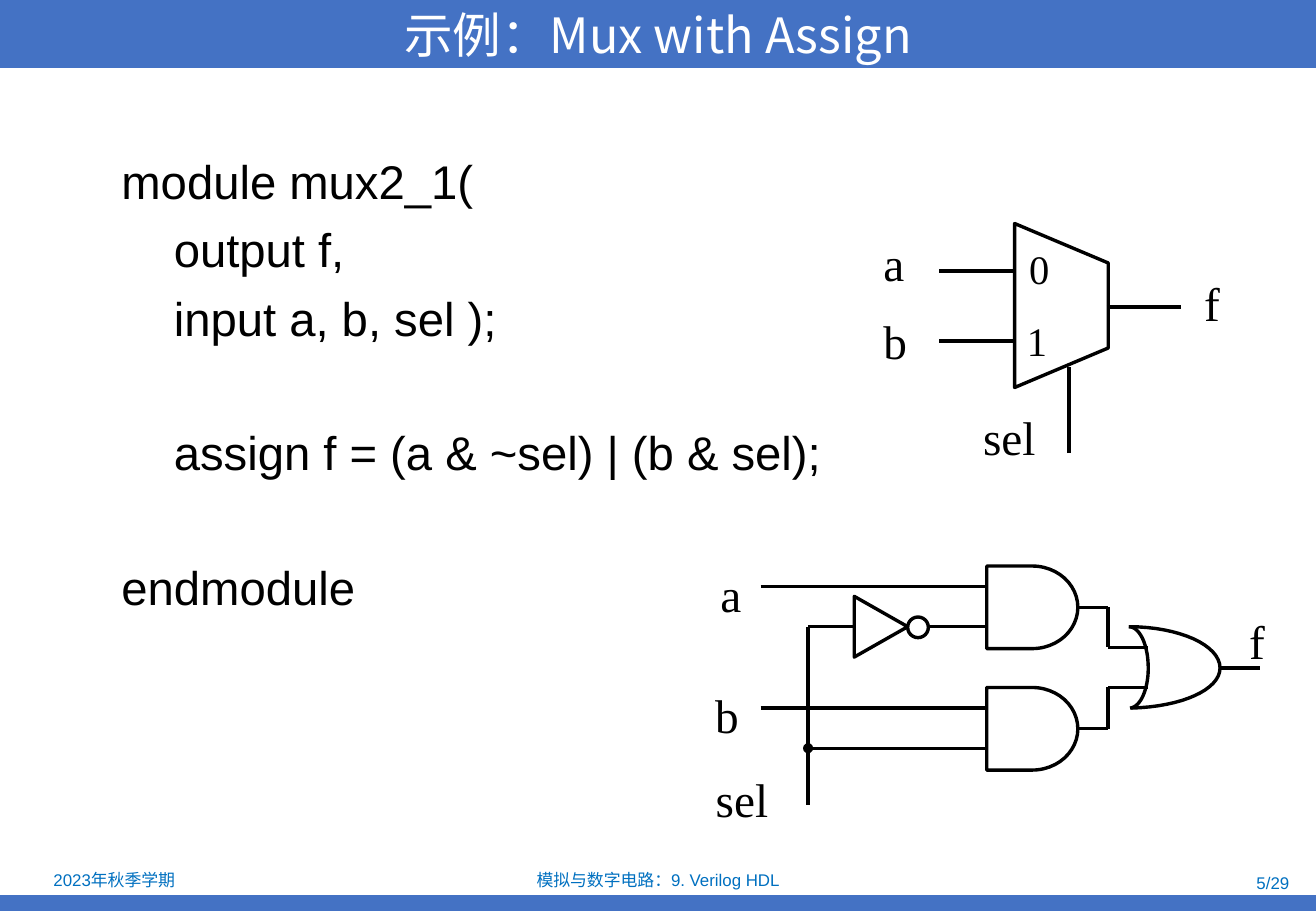
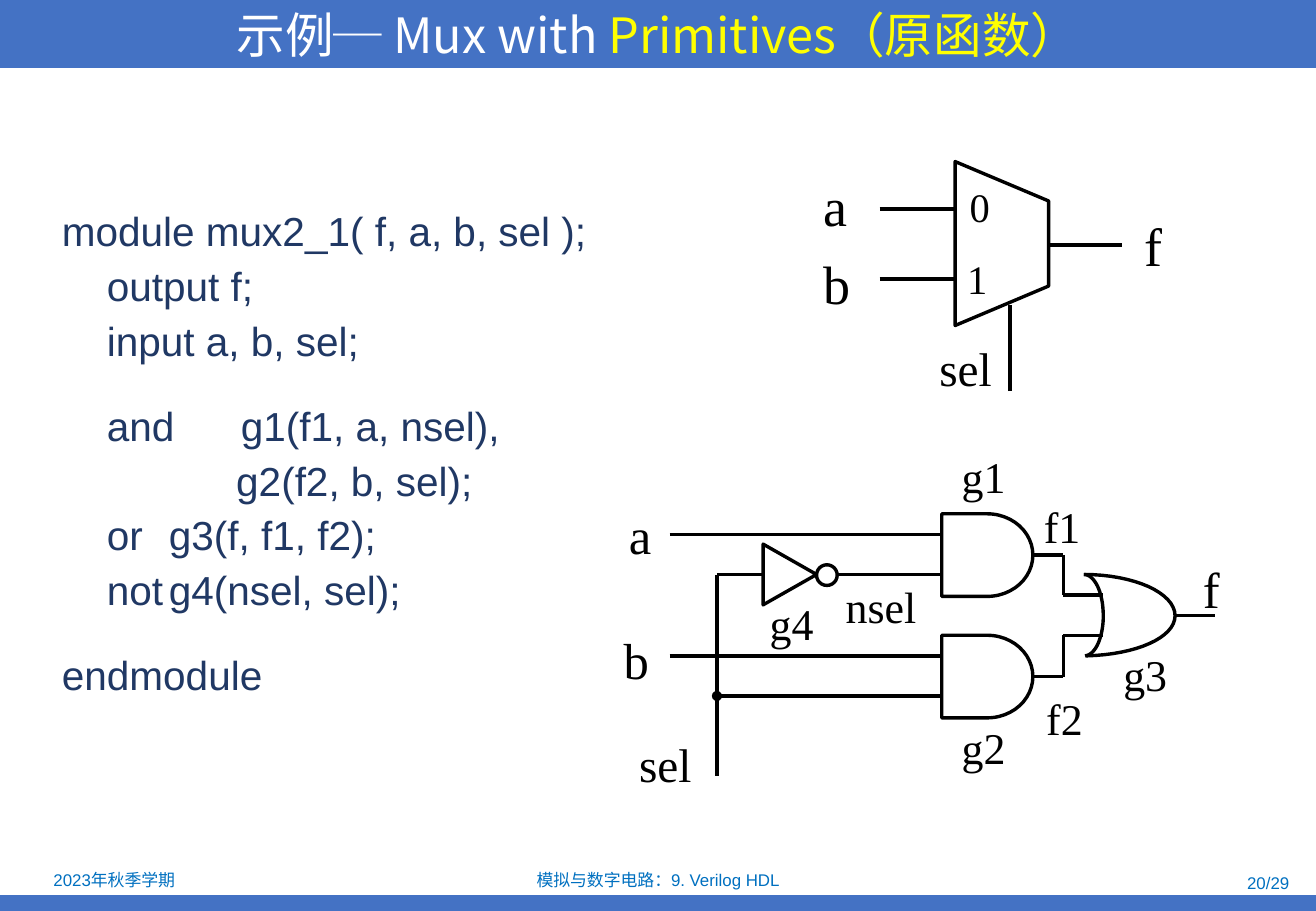
from lxml import etree
from pptx import Presentation
from pptx import util as u
from pptx.dml.color import RGBColor
from pptx.enum import shapes, text
from pptx.oxml.ns import qn

SCALE = 9144  # EMU per px, 100 px to the inch
WIDTH, HEIGHT = 1083, 750
COLORS = {"band": "4472C4", "white": "FFFFFF", "accent": "FFFF00",
          "footer": "0070C0", "ink": "000000", "navy": "203864"}
SANS, SERIF, CJK = "Arial", "Times New Roman", "Noto Sans CJK SC"
LEFT, CENTER, RIGHT = text.PP_ALIGN.LEFT, text.PP_ALIGN.CENTER, text.PP_ALIGN.RIGHT
TOP, MIDDLE = text.MSO_ANCHOR.TOP, text.MSO_ANCHOR.MIDDLE


def px(value):
    return u.Emu(round(value * SCALE))


def rgb(name):
    return RGBColor.from_string(COLORS[name])


def bezier(p0, p1, p2, p3, steps=16):
    """Points after p0 along a cubic curve."""
    for step in range(1, steps + 1):
        t = step / steps
        weights = ((1 - t) ** 3, 3 * t * (1 - t) ** 2, 3 * t * t * (1 - t), t ** 3)
        yield tuple(sum(w * p[axis] for w, p in zip(weights, (p0, p1, p2, p3)))
                    for axis in (0, 1))


def add_run(paragraph, content, size, color, font):
    run = paragraph.add_run()
    run.text = content
    run.font.size, run.font.name = u.Pt(size), font
    run.font.color.rgb = rgb(color)
    east_asian = etree.SubElement(run.font._element, qn("a:ea"))
    east_asian.set("typeface", CJK)


def write(shape, content, size=28, color="ink", font=SERIF, align=LEFT, anchor=TOP,
          space=0, gap=0, tabs=()):
    """Write one paragraph a line; an empty line becomes extra space before the next."""
    frame = shape.text_frame
    frame.word_wrap, frame.auto_size = True, text.MSO_AUTO_SIZE.NONE
    frame.margin_left = frame.margin_right = frame.margin_top = frame.margin_bottom = 0
    frame.vertical_anchor = anchor
    before, paragraph = 0, None
    for line in content.split("\n"):
        if not line:
            before = gap
            continue
        paragraph = frame.add_paragraph() if paragraph is not None else frame.paragraphs[0]
        paragraph.alignment = align
        paragraph.space_before = u.Pt(before)
        if tabs:
            tab_list = etree.SubElement(paragraph._p.get_or_add_pPr(), qn("a:tabLst"))
            for stop in tabs:
                etree.SubElement(tab_list, qn("a:tab"), pos=str(px(stop)), algn="l")
        add_run(paragraph, line, size, color, font)
        before = space
    return paragraph


class Deck:
    def __init__(self):
        self.presentation = Presentation()
        self.presentation.slide_width = px(WIDTH)
        self.presentation.slide_height = px(HEIGHT)
        self.slide = None

    def new_slide(self, title, page, accent=""):
        self.slide = self.presentation.slides.add_slide(self.presentation.slide_layouts[5])
        # Title band
        band = self.slide.shapes.title
        band.left, band.top, band.width, band.height = 0, 0, px(WIDTH), px(56)
        band.fill.solid()
        band.fill.fore_color.rgb = rgb("band")
        paragraph = write(band, title, size=28.8, color="white", font=CJK,
                          align=CENTER, anchor=MIDDLE)
        if accent:
            add_run(paragraph, accent, 28.8, "accent", CJK)
        # Footer
        self.shape("RECTANGLE", 0, 737, WIDTH, 13, fill="band", line=None)
        for content, box, align in (
                ("2023年秋季学期", (2, 713, 184, 23), CENTER),
                ("模拟与数字电路：9. Verilog HDL", (370, 714, 343, 21), CENTER),
                (page, (818, 716, 243, 21), RIGHT)):
            self.text(content, *box, size=10, color="footer", font=SANS,
                      align=align, anchor=MIDDLE)

    def text(self, content, x, y, w=50, h=45, **style):
        box = self.slide.shapes.add_textbox(px(x), px(y), px(w), px(h))
        write(box, content, **style)

    def outline(self, shape, fill=None, line="ink"):
        shape.shadow.inherit = False
        if fill:
            shape.fill.solid()
            shape.fill.fore_color.rgb = rgb(fill)
        else:
            shape.fill.background()
        if line:
            shape.line.color.rgb = rgb(line)
            shape.line.width = u.Pt(2)
        else:
            shape.line.fill.background()

    def shape(self, kind, x, y, w, h, fill=None, line="ink", rotation=0):
        shape = self.slide.shapes.add_shape(
            getattr(shapes.MSO_SHAPE, kind), px(x), px(y), px(w), px(h))
        shape.rotation = rotation
        self.outline(shape, fill, line)
        return shape

    def wire(self, x1, y1, x2, y2, width=2, dot=False, source=None):
        wire = self.slide.shapes.add_connector(
            shapes.MSO_CONNECTOR.STRAIGHT, px(x1), px(y1), px(x2), px(y2))
        wire.line.color.rgb = rgb("ink")
        wire.line.width = u.Pt(width)
        if dot:
            etree.SubElement(wire.line._get_or_add_ln(), qn("a:headEnd"), type="oval")
        etree.SubElement(wire._element.spPr, qn("a:effectLst"))
        if source is not None:
            wire.begin_connect(source, 3)

    def curve(self, x, y, start, *segments):
        """Open outline of cubic segments, each given as two controls and an end."""
        points = [start]
        for segment in segments:
            points += bezier(points[-1], *segment)
        points = [(px(x + dx), px(y + dy)) for dx, dy in points]
        builder = self.slide.shapes.build_freeform(*points[0], scale=1.0)
        builder.add_line_segments(points[1:], close=False)
        self.outline(builder.convert_to_shape())

    def mux(self, x, y, size, sel):
        """Multiplexer symbol whose tall side starts at x, y."""
        for x1, y1, x2, y2 in ((45, 189, 45, 118), (-62, 97, -1, 97),
                               (76, 69, 137, 69), (-62, 39, -1, 39)):
            self.wire(x + x1, y + y1, x + x2, y + y2, width=2.25)
        for label, dx, dy, points in (("a", -108, 9, size), ("b", -108, 73, size),
                                      ("f", 156, 42, size), ("sel", *sel, 28),
                                      ("0", 12, 17, 24), ("1", 10, 76, 24)):
            self.text(label, x + dx, y + dy, size=points)
        body = self.shape("TRAPEZOID", x - 29, y + 29, 135, 77, rotation=90)
        body.adjustments[0] = 0.422

    def circuit(self, x, y, left, sel_end):
        """Gate circuit: AND gates at x, y; input wires start at left."""
        sel = left + 39
        # AND gates with their output wires
        for top, turn in ((y, y + 67), (y + 100, y + 100)):
            gate = self.shape("FLOWCHART_DELAY", x, top, 75, 68)
            self.wire(x + 75, top + 34, x + 100, top + 34, source=gate)
            self.wire(x + 100, top + 34, x + 100, turn)
            self.wire(x + 100, turn, x + 133, turn)
            self.wire(left, top + 17, x, top + 17)
        # Select line and inverter
        self.wire(sel, y + 50, sel, sel_end)
        self.wire(sel, y + 150, x, y + 150, dot=True)
        self.wire(sel, y + 50, left + 77, y + 50)
        self.wire(left + 138, y + 50, x, y + 50)
        self.shape("ISOSCELES_TRIANGLE", left + 74, y + 28, 50, 44, rotation=90)
        self.shape("OVAL", left + 121, y + 42, 17, 17, fill="white")
        # OR gate
        self.curve(x + 117, y + 50, (0, 0), ((9, 0), (16, 15), (16, 34)),
                   ((16, 51), (10, 66), (1, 67)))
        self.curve(x + 117, y + 50, (0, 0), ((41, 0), (75, 15), (75, 34)),
                   ((75, 52), (43, 66), (2, 67)))
        self.wire(x + 192, y + 84, x + 225, y + 84)


ASSIGN_CODE = """module mux2_1(
    output f,
    input a, b, sel );

    assign f = (a & ~sel) | (b & sel);

endmodule"""

PRIMITIVES_CODE = """module mux2_1( f, a, b, sel );
    output f;
    input a, b, sel;

    and\t g1(f1, a, nsel),
\t\t      g2(f2, b, sel);
    or\tg3(f, f1, f2);
    not\tg4(nsel, sel);

endmodule"""


def main():
    deck = Deck()

    # Mux with assign
    deck.new_slide("示例：Mux with Assign", "5/29")
    deck.text(ASSIGN_CODE, 100, 125, 773, 420, font=SANS, space=7, gap=46.2)
    deck.circuit(812, 466, left=626, sel_end=663)
    for label, x, y, w, align in (("a", 581, 465, 29, RIGHT), ("b", 577, 565, 31, RIGHT),
                                  ("sel", 589, 634, 55, LEFT), ("f", 1028, 504, 30, LEFT)):
        deck.text(label, x, y, w, align=align)
    deck.mux(835, 184, size=28, sel=(-26, 152))

    # Mux with primitives
    deck.new_slide("示例─ Mux with ", "20/29", accent="Primitives（原函数）")
    deck.text(PRIMITIVES_CODE, 51, 170, 433, 529, size=24, color="navy", font=SANS,
              space=3.6, gap=21.7, tabs=(38, 88, 138))
    deck.circuit(775, 423, left=551, sel_end=639)
    for label, x, y, w, size, align in (
            ("a", 507, 415, 29, 30, RIGHT), ("b", 503, 518, 31, 30, RIGHT),
            ("sel", 526, 605, 66, 28, LEFT), ("f", 990, 459, 30, 30, LEFT),
            ("nsel", 696, 477, 77, 26, LEFT),
            ("f1", 859, 411, 55, 26, LEFT), ("f2", 861, 569, 55, 26, LEFT),
            ("g1", 782, 370, 55, 26, CENTER), ("g2", 782, 593, 55, 26, CENTER),
            ("g3", 915, 533, 55, 26, CENTER), ("g4", 624, 491, 55, 26, CENTER)):
        deck.text(label, x, y, w, size=size, align=align)
    deck.mux(786, 133, size=32, sel=(-13, 146))

    deck.presentation.save("out.pptx")


if __name__ == "__main__":
    main()
